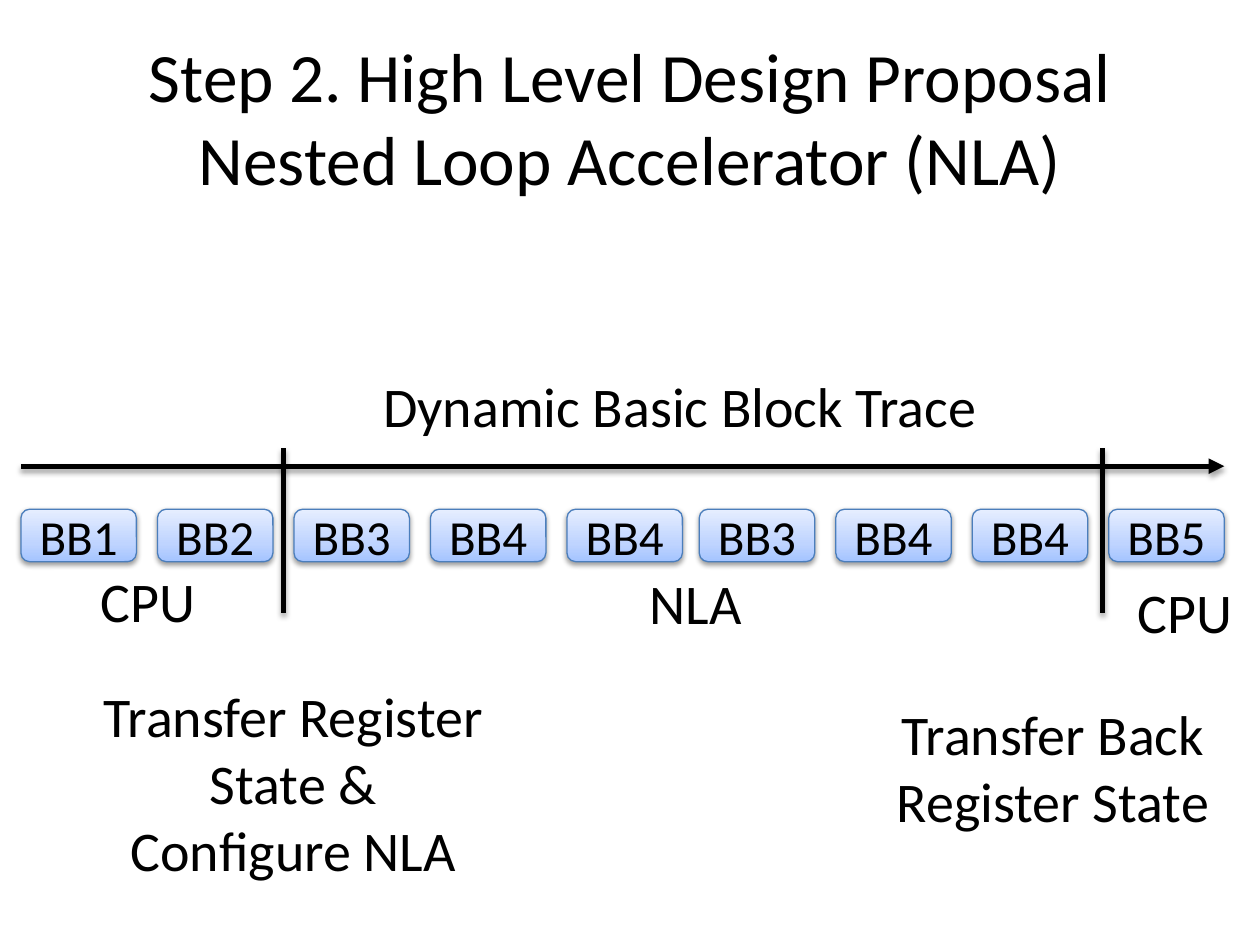
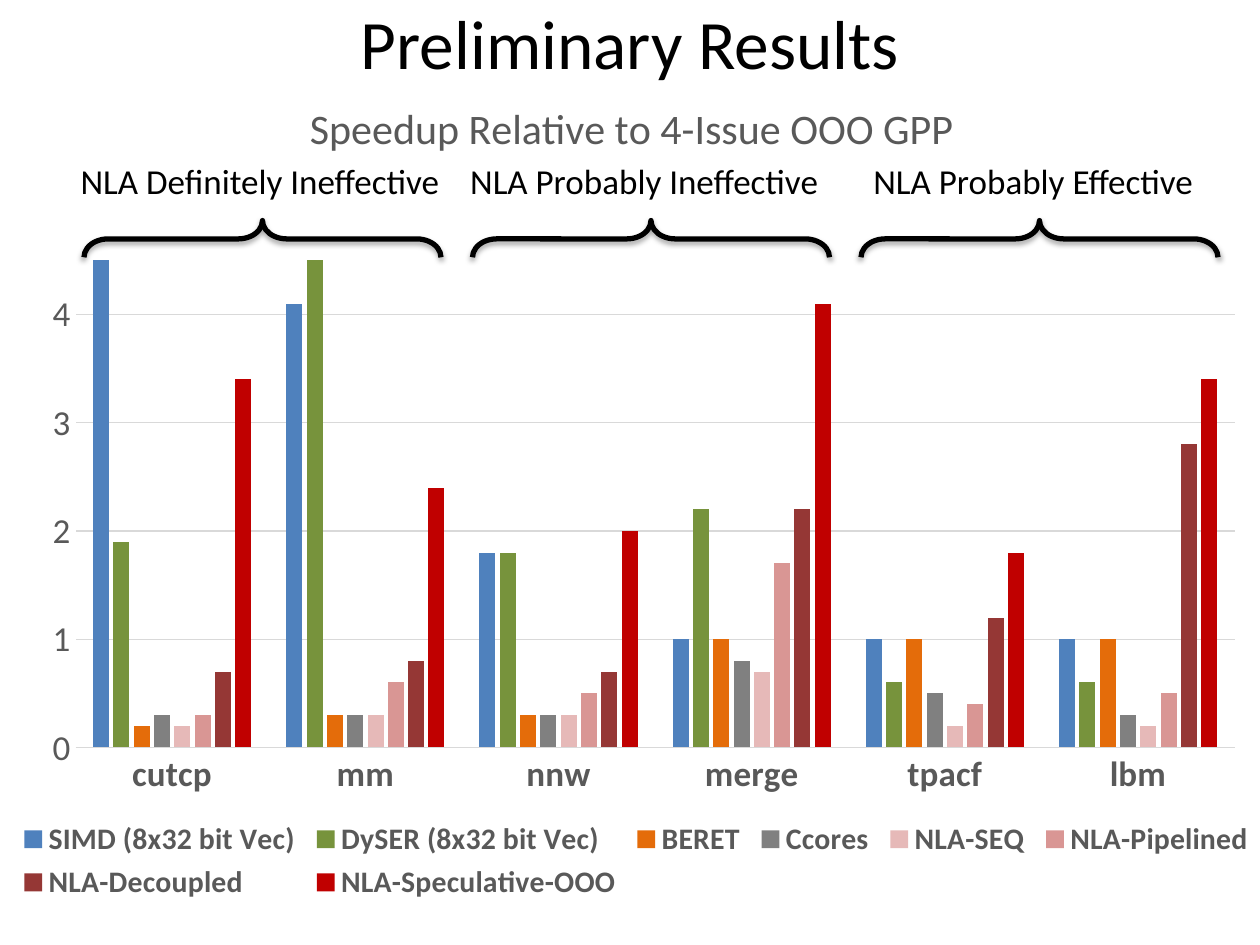
from copy import deepcopy
from dataclasses import dataclass

from lxml import etree
from pptx import Presentation
from pptx.chart.data import CategoryChartData
from pptx.dml.color import RGBColor
from pptx.enum.chart import XL_CHART_TYPE, XL_LEGEND_POSITION, XL_TICK_MARK
from pptx.enum.shapes import MSO_CONNECTOR, MSO_SHAPE
from pptx.enum.text import MSO_ANCHOR, MSO_AUTO_SIZE, PP_ALIGN
from pptx.oxml import parse_xml
from pptx.oxml.ns import nsdecls, qn
from pptx.util import Inches, Pt

LEFT, CENTER = PP_ALIGN.LEFT, PP_ALIGN.CENTER
MIDDLE = MSO_ANCHOR.MIDDLE
COLUMNS, ROWS = 120, 90
UNIT = Inches(10) / COLUMNS


@dataclass(frozen=True)
class Theme:
    font: str = "Calibri"
    ink: str = "000000"
    muted: str = "595959"
    grid: str = "D9D9D9"
    block_line: str = "4B7EBC"
    block_fill: tuple = ((0, "A4C4FF"), (0.35, "BFD4FF"), (1, "E6EEFF"))
    title: float = 39.6
    label: float = 32
    block: float = 28
    chart_title: float = 24
    axis: float = 20
    legend: float = 17
    heavy: float = 3
    thin: float = 0.75


THEME = Theme()


@dataclass(frozen=True)
class Box:
    """An area in grid units."""
    left: float
    top: float
    width: float
    height: float

    def inner(self, left, top, width, height):
        return Box(self.left + left, self.top + top, width, height)

    def lengths(self):
        return [round(side * UNIT) for side in
                (self.left, self.top, self.width, self.height)]


PAGE = Box(0, 0, COLUMNS, ROWS)

BLOCK_RUNS = (
    (0, ("BB1", "BB2", "BB3", "BB4", "BB4")),
    (64.6, ("BB3", "BB4", "BB4", "BB5")),
)
TRACE_LABELS = (
    ("Dynamic Basic Block Trace", LEFT, (33.3, 0, 59.5, 7.7)),
    ("CPU", LEFT, (6.4, 18.6, 11.5, 7.7)),
    ("NLA", LEFT, (58.7, 18.8, 11.3, 7.7)),
    ("CPU", LEFT, (105.2, 19.6, 11.5, 7.7)),
    ("Transfer Register\nState &\nConfigure NLA", CENTER, (6.5, 29.5, 38.9, 20.6)),
    ("Transfer Back\nRegister State", CENTER, (82.1, 31.2, 32.4, 14.2)),
)
BENCHMARKS = ("cutcp", "mm", "nnw", "merge", "tpacf", "lbm")
SPEEDUPS = (
    ("SIMD (8x32 bit Vec)", "4F81BD", (5, 4.1, 1.8, 1, 1, 1)),
    ("DySER (8x32 bit Vec)", "77933C", (1.9, 5.1, 1.8, 2.2, 0.6, 0.6)),
    ("BERET", "E46C0A", (0.2, 0.3, 0.3, 1, 1, 1)),
    ("Ccores", "808080", (0.3, 0.3, 0.3, 0.8, 0.5, 0.3)),
    ("NLA-SEQ", "E6B9B8", (0.2, 0.3, 0.3, 0.7, 0.2, 0.2)),
    ("NLA-Pipelined", "D99694", (0.3, 0.6, 0.5, 1.7, 0.4, 0.5)),
    ("NLA-Decoupled", "953735", (0.7, 0.8, 0.7, 2.2, 1.2, 2.8)),
    ("NLA-Speculative-OOO", "C00000", (3.4, 2.4, 2, 4.1, 1.8, 3.4)),
)
VERDICTS = (
    ("NLA Definitely Ineffective", -1.5),
    ("NLA Probably Ineffective", -1.4),
    ("NLA Probably Effective", 0),
)


def rgb(color):
    return RGBColor.from_string(color)


def style_font(font, size, color=THEME.ink, bold=False):
    font.name = THEME.font
    font.size = Pt(size)
    font.bold = bold
    font.color.rgb = rgb(color)


def write(shape, text, size, align=LEFT, anchor=None, wrap=True):
    frame = shape.text_frame
    frame.text = text
    frame.word_wrap = wrap
    frame.auto_size = MSO_AUTO_SIZE.NONE
    if anchor is not None:
        frame.vertical_anchor = anchor
    for para in frame.paragraphs:
        para.alignment = align
        for span in para.runs:
            style_font(span.font, size)


def add_label(page, box, text, size, align=LEFT):
    write(page.shapes.add_textbox(*box.lengths()), text, size, align, wrap=False)


def style_line(line, color, width):
    line.color.rgb = rgb(color)
    line.width = Pt(width)


def add_shadow(shape, opacity=35, distance=1.8):
    """Cast a soft shadow downwards; call it after fill and line are set."""
    shape._element.spPr.append(parse_xml(
        f'<a:effectLst {nsdecls("a")}><a:outerShdw blurRad="{Pt(3.1)}" '
        f'dist="{Pt(distance)}" dir="5400000" rotWithShape="0">'
        f'<a:srgbClr val="{THEME.ink}"><a:alpha val="{opacity * 1000}"/></a:srgbClr>'
        '</a:outerShdw></a:effectLst>'))


def add_titled_page(deck, title, box):
    page = deck.slides.add_slide(deck.slide_layouts[5])
    heading = page.shapes.title
    heading.left, heading.top, heading.width, heading.height = box.lengths()
    write(heading, title, THEME.title, CENTER, MIDDLE)
    return page


def add_line(page, box, arrow=False):
    """Draw from the top left to the bottom right corner of the box."""
    left, top, width, height = box.lengths()
    line = page.shapes.add_connector(
        MSO_CONNECTOR.STRAIGHT, left, top, left + width, top + height)
    style_line(line.line, THEME.ink, THEME.heavy)
    if arrow:
        outline = line._element.spPr.find(qn("a:ln"))
        etree.SubElement(outline, qn("a:tailEnd"), type="triangle")
    add_shadow(line)


def add_block(page, box, name):
    block = page.shapes.add_shape(MSO_SHAPE.ROUNDED_RECTANGLE, *box.lengths())
    block.fill.gradient()
    block.fill.gradient_angle = 90
    stops = block._element.spPr.find(".//" + qn("a:gsLst"))
    stops.append(deepcopy(stops[-1]))
    for stop, (position, color) in zip(block.fill.gradient_stops, THEME.block_fill):
        stop.position = position
        stop.color.rgb = rgb(color)
    style_line(block.line, THEME.block_line, THEME.thin)
    add_shadow(block, opacity=38, distance=1.6)
    write(block, name, THEME.block, CENTER, MIDDLE)


def add_trace(page, box):
    for start, names in BLOCK_RUNS:
        for index, name in enumerate(names):
            add_block(page, box.inner(start + 13 * index, 13.7, 11, 5), name)
    add_line(page, box.inner(0, 9.6, box.width, 0), arrow=True)
    for handover in (25, 103):
        add_line(page, box.inner(handover, 7.9, 0, 15.7))
    for text, align, place in TRACE_LABELS:
        add_label(page, box.inner(*place), text, THEME.label, align)


def set_layout(element, index, target=None, **shares):
    """Fix a piece of the chart at shares (x, y, w, h) of the chart's size."""
    for old in element.findall(qn("c:layout")):
        element.remove(old)
    layout = etree.Element(qn("c:layout"))
    manual = etree.SubElement(layout, qn("c:manualLayout"))
    if target:
        etree.SubElement(manual, qn("c:layoutTarget"), val=target)
    for side in ("x", "y"):
        etree.SubElement(manual, qn(f"c:{side}Mode"), val="edge")
    for side, share in shares.items():
        etree.SubElement(manual, qn(f"c:{side}"), val=str(share))
    element.insert(index, layout)


def style_axes(chart):
    values, categories = chart.value_axis, chart.category_axis
    for axis in (values, categories):
        axis.major_tick_mark = axis.minor_tick_mark = XL_TICK_MARK.NONE
        style_font(axis.tick_labels.font, THEME.axis, THEME.muted, axis is categories)
    values.minimum_scale, values.maximum_scale, values.major_unit = 0, 4.5, 1
    values.tick_labels.number_format = "General"
    values.tick_labels.number_format_is_linked = False
    values.format.line.fill.background()
    for line in (values.major_gridlines.format.line, categories.format.line):
        style_line(line, THEME.grid, THEME.thin)


def add_speedup_chart(page, box):
    data = CategoryChartData()
    data.categories = BENCHMARKS
    for name, _, speedups in SPEEDUPS:
        data.add_series(name, speedups)
    chart = page.shapes.add_chart(
        XL_CHART_TYPE.COLUMN_CLUSTERED, *box.lengths(), data).chart
    style_font(chart.font, 10)
    plot = chart.plots[0]
    plot.gap_width, plot.overlap, plot.vary_by_categories = 219, -27, False
    for series, (_, color, _) in zip(plot.series, SPEEDUPS):
        series.format.fill.solid()
        series.format.fill.fore_color.rgb = rgb(color)
    style_axes(chart)

    title = chart.chart_title
    title.text_frame.text = "Speedup Relative to 4-Issue OOO GPP"
    style_font(title.text_frame.paragraphs[0].runs[0].font,
               THEME.chart_title, THEME.muted)
    chart.has_legend = True
    legend = chart.legend
    legend.position = XL_LEGEND_POSITION.BOTTOM
    legend.include_in_layout = False
    style_font(legend.font, THEME.legend, THEME.muted, True)

    set_layout(title._element, 1, x=0.24, y=0.01)
    set_layout(legend._element, 1, x=0.01, y=0.87, w=0.99, h=0.11)
    set_layout(chart._chartSpace.find(".//" + qn("c:plotArea")), 0, "inner",
               x=0.06, y=0.21, w=0.92, h=0.58)


def add_brace(page, box):
    """Draw a brace that opens downwards and fills the box."""
    upright = box.inner((box.width - box.height) / 2, (box.height - box.width) / 2,
                        box.height, box.width)
    brace = page.shapes.add_shape(MSO_SHAPE.RIGHT_BRACE, *upright.lengths())
    brace.rotation = 270
    brace.adjustments[0] = 0.66
    brace.fill.background()
    style_line(brace.line, THEME.ink, THEME.heavy)
    add_shadow(brace)


def add_verdicts(page, box):
    for index, (verdict, shift) in enumerate(VERDICTS):
        group = box.inner(37 * index, 0, 34, box.height)
        add_brace(page, group.inner(0, 6.4, group.width, 3.5))
        add_label(page, group.inner(shift, 0, group.width + 3, 6), verdict, THEME.axis)


def main():
    deck = Presentation()
    deck.slide_width, deck.slide_height = PAGE.lengths()[2:]

    design = add_titled_page(
        deck, "Step 2. High Level Design Proposal\nNested Loop Accelerator (NLA)",
        PAGE.inner(6, 3.6, 108, 15))
    add_trace(design, PAGE.inner(2, 34.8, 114.6, 50.1))

    results = add_titled_page(deck, "Preliminary Results", PAGE.inner(6, 0, 108, 8))
    add_speedup_chart(results, PAGE.inner(0, 8, 120, 80))
    add_verdicts(results, PAGE.inner(8, 14.6, 108, 10))

    deck.save("out.pptx")


if __name__ == "__main__":
    main()
